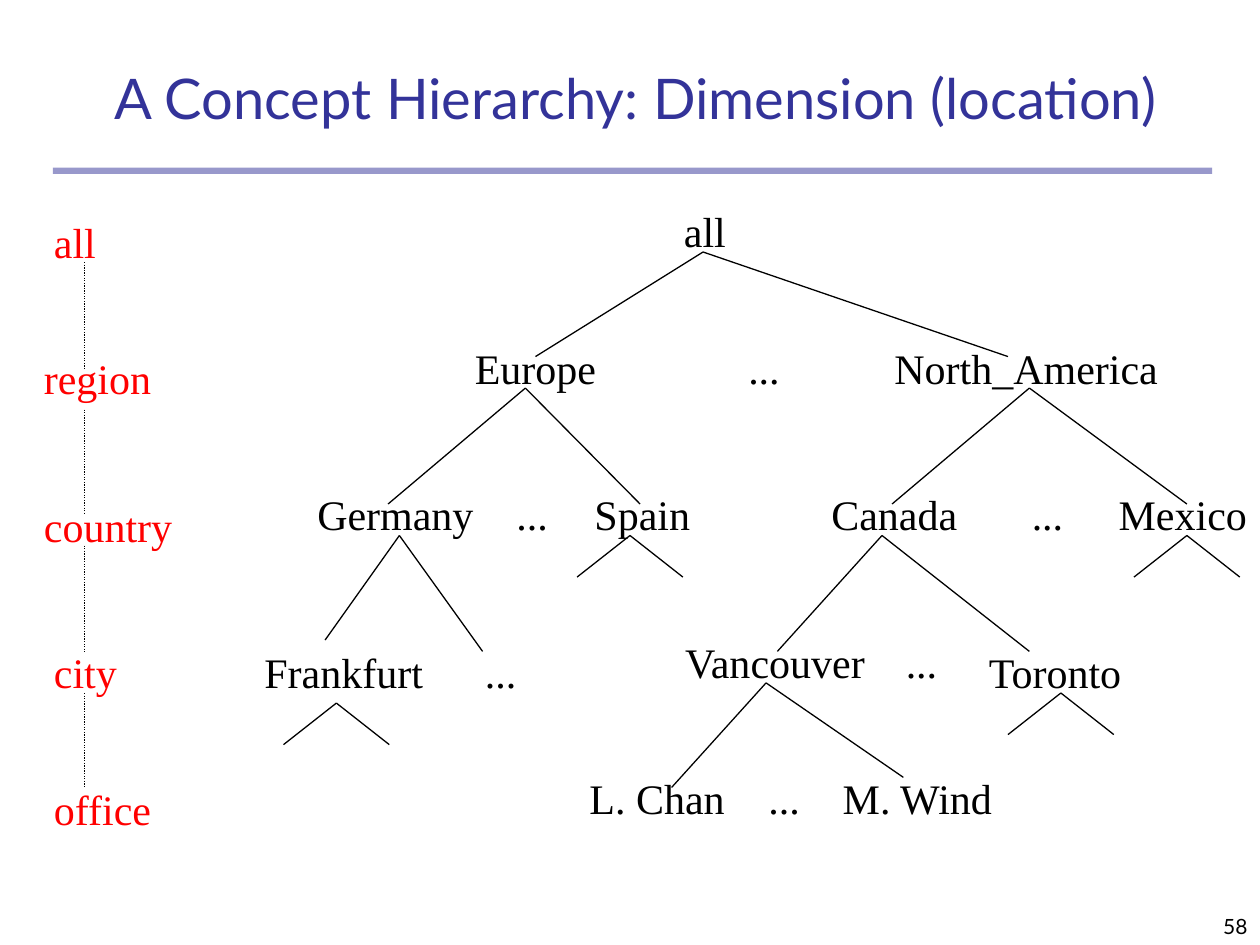
"""Build a slide with the concept hierarchy of the location dimension."""
from lxml.etree import SubElement as Sub
from pptx import Presentation
from pptx.dml.color import RGBColor as Rgb
from pptx.enum.dml import MSO_LINE as Dash
from pptx.enum.shapes import MSO_CONNECTOR as Conn, MSO_SHAPE as Shape
from pptx.enum.text import MSO_ANCHOR as Anchor, MSO_AUTO_SIZE as Auto
from pptx.enum.text import PP_ALIGN as Align
from pptx.oxml.ns import qn
from pptx.util import Inches, Pt

COLORS = {"title": "333399", "text": "000000", "level": "FF0000"}
TITLE = "A Concept Hierarchy: Dimension (location)"
PAGE = "58"
LEVELS = [
    ("all", 0.33, 1.67, 0.53),
    ("region", 0.25, 2.75, 1.05),
    ("country", 0.25, 3.92, 1.22),
    ("city", 0.33, 5.08, 0.7),
    ("office", 0.33, 6.17, 0.97),
]
NODES = [
    ("all", 5.33, 1.58, 0.53),
    ("Europe", 3.67, 2.67, 1.16),
    ("...", 5.84, 2.67, 0.45),
    ("North_America", 7, 2.67, 2.29),
    ("Germany", 2.42, 3.83, 1.44),
    ("...", 4, 3.83, 0.45),
    ("Spain", 4.62, 3.83, 0.96),
    ("Canada", 6.5, 3.83, 1.2),
    ("...", 8.09, 3.83, 0.45),
    ("Mexico", 8.78, 3.83, 1.22),
    ("Frankfurt", 2, 5.08, 1.46),
    ("...", 3.75, 5.08, 0.45),
    ("Vancouver", 5.34, 5, 1.66),
    ("...", 7.09, 5, 0.45),
    ("Toronto", 7.75, 5.08, 1.27),
    ("L. Chan", 4.58, 6.08, 1.29),
    ("...", 6, 6.08, 0.45),
    ("M. Wind", 6.59, 6.08, 1.4),
]
FORKS = [
    ((5.58, 2), (4.25, 2.83), (8, 2.83)),
    ((4.17, 3.08), (3.08, 4), (5.08, 4)),
    ((8.17, 3.08), (7.08, 4), (9.42, 4)),
    ((3.17, 4.25), (2.58, 5.08), (3.83, 5.17)),
    ((7, 4.25), (6.17, 5.17), (8.17, 5.17)),
    ((6.08, 5.42), (5.33, 6.25), (7.17, 6.17)),
]
STUBS = [(5, 4.25), (9.42, 4.25), (2.67, 5.58), (8.42, 5.5)]
STUB_W, STUB_H = 0.42, 0.33
AXIS_X = 0.67
AXIS = [(2.08, 2.92), (3.25, 4.08), (4.33, 5.17), (5.5, 6.25)]


def write(slide, text, x, y, w, h=0.5, size=24, font="Times New Roman",
          color="text", align=Align.LEFT, anchor=Anchor.TOP, wrap=False):
    box = slide.shapes.add_textbox(*map(Inches, (x, y, w, h)))
    frame = box.text_frame
    frame.word_wrap, frame.vertical_anchor = wrap, anchor
    frame.auto_size = Auto.NONE if wrap else Auto.SHAPE_TO_FIT_TEXT
    para = frame.paragraphs[0]
    para.alignment = align
    run = para.add_run()
    run.text = text
    run.font.size, run.font.name = Pt(size), font
    run.font.color.rgb = Rgb.from_string(COLORS[color])


def link(slide, start, end, dash=None):
    line = slide.shapes.add_connector(
        Conn.STRAIGHT, *map(Inches, (*start, *end)))
    line.line.color.rgb = Rgb.from_string(COLORS["text"])
    line.line.width = Pt(0.75)
    if dash:
        line.line.dash_style = dash
    Sub(line._element.spPr, qn("a:effectLst"))


def rule(slide):
    bar = slide.shapes.add_shape(
        Shape.RECTANGLE, *map(Inches, (0.42, 1.33, 9.2, 0.05)))
    bar.shadow.inherit = False
    bar.fill.solid()
    bar.fill.fore_color.rgb = Rgb.from_string(COLORS["title"])
    bar.line.fill.background()
    tint = bar._element.spPr.find(qn("a:solidFill"))[0]
    Sub(tint, qn("a:alpha"), val="50000")


def main():
    deck = Presentation()
    deck.slide_width, deck.slide_height = Inches(10), Inches(7.5)
    slide = deck.slides.add_slide(deck.slide_layouts[6])
    rule(slide)
    write(slide, PAGE, 7.92, 7, 2.08, size=12, font="Lato",
          align=Align.RIGHT, anchor=Anchor.BOTTOM, wrap=True)
    write(slide, TITLE, 0.67, 0.42, 8.75, 0.67, size=32, font="Lato",
          color="title", align=Align.CENTER, anchor=Anchor.BOTTOM, wrap=True)
    for node in NODES:
        write(slide, *node)
    for level in LEVELS:
        write(slide, *level, color="level")
    stubs = [((x, y), (x - STUB_W, y + STUB_H), (x + STUB_W, y + STUB_H))
             for x, y in STUBS]
    for top, *ends in FORKS + stubs:
        for end in ends:
            link(slide, top, end)
    for top, foot in AXIS:
        link(slide, (AXIS_X, top), (AXIS_X, foot), Dash.ROUND_DOT)
    deck.save("out.pptx")


if __name__ == "__main__":
    main()
